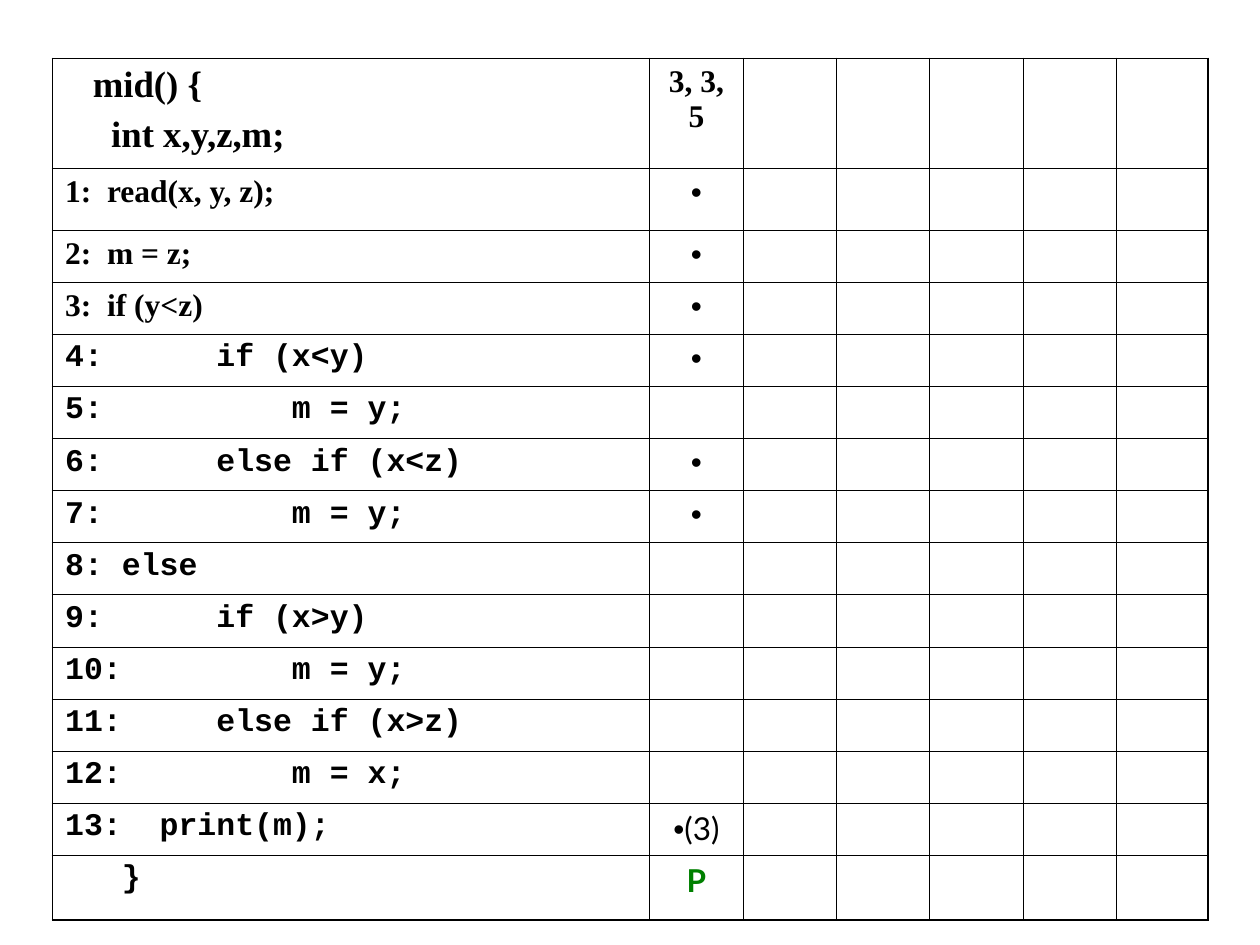
from dataclasses import dataclass

from lxml.etree import SubElement
from pptx import Presentation
from pptx.dml.color import RGBColor
from pptx.enum.text import PP_ALIGN
from pptx.oxml.ns import qn
from pptx.util import Cm, Pt


@dataclass(frozen=True)
class Theme:
    ink: str = "000000"
    paper: str = "FFFFFF"
    passed: str = "008000"
    serif: str = "Times New Roman"
    mono: str = "Courier New"
    sans: str = "Lato"
    dot: str = "Arial"
    heading_size: float = 21
    body_size: float = 18
    heading_gap: float = 5.2
    outer_line: float = 1.08
    inner_line: float = 0.45


THEME = Theme()
HEADING = dict(name=THEME.serif, size=Pt(THEME.heading_size), bold=True)
SERIF = dict(name=THEME.serif, bold=True)
MONO = dict(name=THEME.mono, bold=True)
DOT = dict(name=THEME.dot, bold=False)
VALUE = dict(name=THEME.sans, bold=False)
VERDICT = dict(name=THEME.sans, bold=True, color=THEME.passed)

DECLARATION = ["   mid() {", "     int x,y,z,m;"]
STATEMENTS = [
    "1:  read(x, y, z);",
    "2:  m = z;",
    "3:  if (y<z)",
    "4:      if (x<y)",
    "5:          m = y;",
    "6:      else if (x<z)",
    "7:          m = y;",
    "8: else",
    "9:      if (x>y)",
    "10:         m = y;",
    "11:     else if (x>z)",
    "12:         m = x;",
    "13:  print(m);",
    "   }",
]
SERIF_STATEMENTS = 3
EXECUTED = (1, 2, 3, 4, 6, 7, 13)
PRINT_ROW, VERDICT_ROW = 13, 14

COLUMN_WIDTHS = [12.04] + [1.88] * 5 + [1.85]
ROW_HEIGHTS = [2.21, 1.25] + [1.05] * 12 + [1.3]


class SlideWriter:
    def __init__(self, slide, theme):
        self.slide = slide
        self.theme = theme

    def table(self, left, top, widths, heights):
        frame = self.slide.shapes.add_table(
            len(heights), len(widths), Cm(left), Cm(top),
            Cm(sum(widths)), Cm(sum(heights)))
        grid = frame.table
        grid.first_row = grid.horz_banding = False
        for column, width in zip(grid.columns, widths):
            column.width = Cm(width)
        for row, height in zip(grid.rows, heights):
            row.height = Cm(height)
        last_row, last_column = len(heights) - 1, len(widths) - 1
        for r in range(len(heights)):
            for c in range(len(widths)):
                cell = grid.cell(r, c)
                self.borders(cell, {"a:lnL": c == 0, "a:lnR": c == last_column,
                                    "a:lnT": r == 0, "a:lnB": r == last_row})
                cell.fill.solid()
                cell.fill.fore_color.rgb = RGBColor.from_string(self.theme.paper)
        return grid

    def borders(self, cell, sides):
        """Draw each side, heavier where its flag marks the table's edge."""
        properties = cell._tc.get_or_add_tcPr()
        for tag, is_edge in sides.items():
            weight = self.theme.outer_line if is_edge else self.theme.inner_line
            line = SubElement(properties, qn(tag), w=str(Pt(weight)))
            fill = SubElement(line, qn("a:solidFill"))
            SubElement(fill, qn("a:srgbClr"), val=self.theme.ink)

    def text(self, cell, paragraphs, align=PP_ALIGN.LEFT):
        """Fill a cell; each paragraph is a list of (text, format) runs."""
        frame = cell.text_frame
        for index, runs in enumerate(paragraphs):
            paragraph = frame.add_paragraph() if index else frame.paragraphs[0]
            paragraph.alignment = align
            paragraph.space_before = Pt(self.theme.heading_gap if index else 0)
            for words, style in runs:
                run = paragraph.add_run()
                run.text = words
                self.format(run.font, style)

    def format(self, font, style):
        values = {"size": Pt(self.theme.body_size), "color": self.theme.ink, **style}
        font.color.rgb = RGBColor.from_string(values.pop("color"))
        for attribute, value in values.items():
            setattr(font, attribute, value)


def main():
    deck = Presentation()
    deck.slide_width, deck.slide_height = Cm(25.4), Cm(19.05)
    writer = SlideWriter(deck.slides.add_slide(deck.slide_layouts[6]), THEME)
    trace = writer.table(1.06, 1.18, COLUMN_WIDTHS, ROW_HEIGHTS)

    writer.text(trace.cell(0, 0), [[(line, HEADING)] for line in DECLARATION])
    for number, statement in enumerate(STATEMENTS, start=1):
        style = SERIF if number <= SERIF_STATEMENTS else MONO
        writer.text(trace.cell(number, 0), [[(statement, style)]])

    test_run = {0: [("3, 3, 5", SERIF)], VERDICT_ROW: [("P", VERDICT)]}
    test_run.update({number: [("•", DOT)] for number in EXECUTED})
    test_run[PRINT_ROW].append(("(3)", VALUE))
    for row, runs in test_run.items():
        writer.text(trace.cell(row, 1), [runs], PP_ALIGN.CENTER)

    deck.save("out.pptx")


if __name__ == "__main__":
    main()
